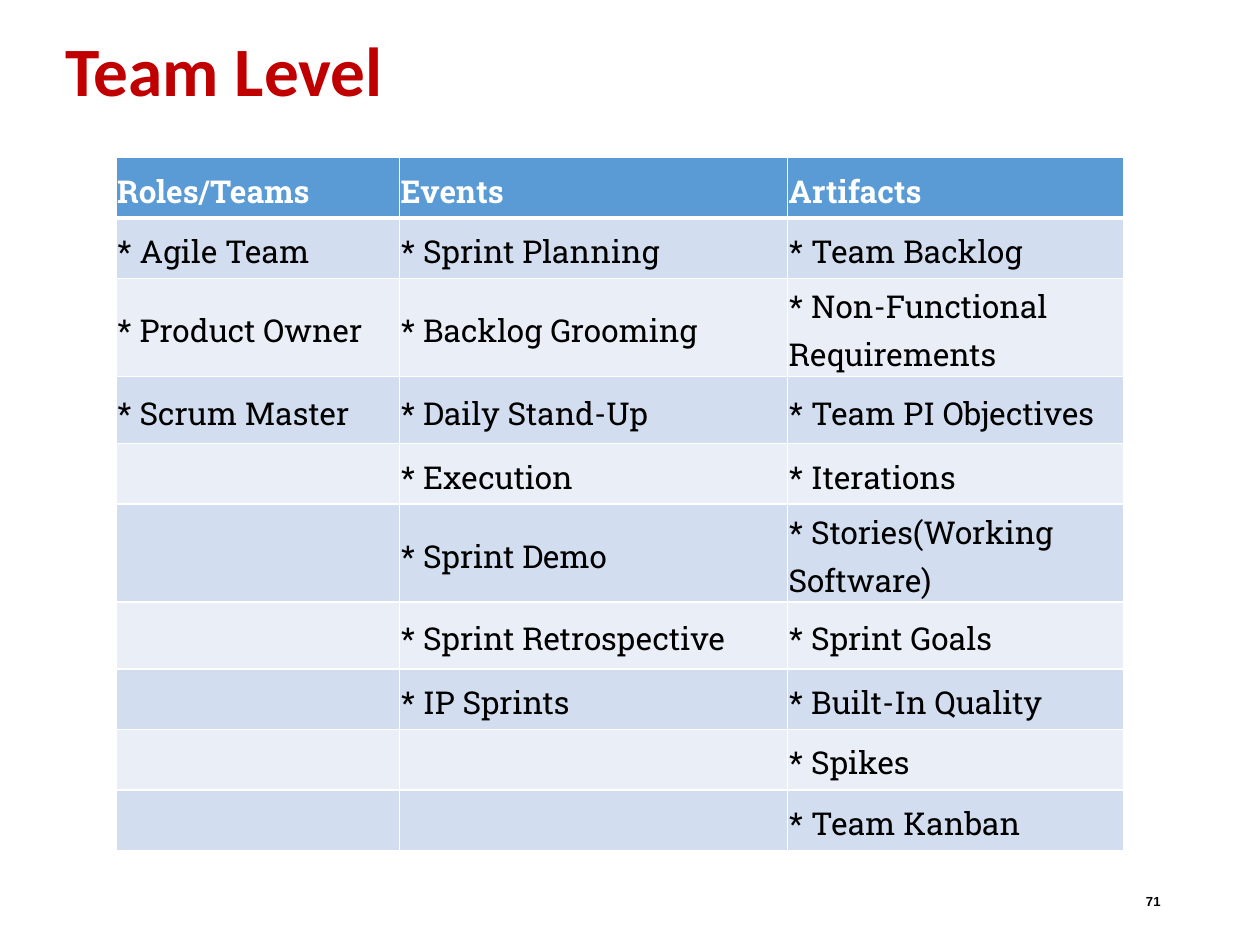
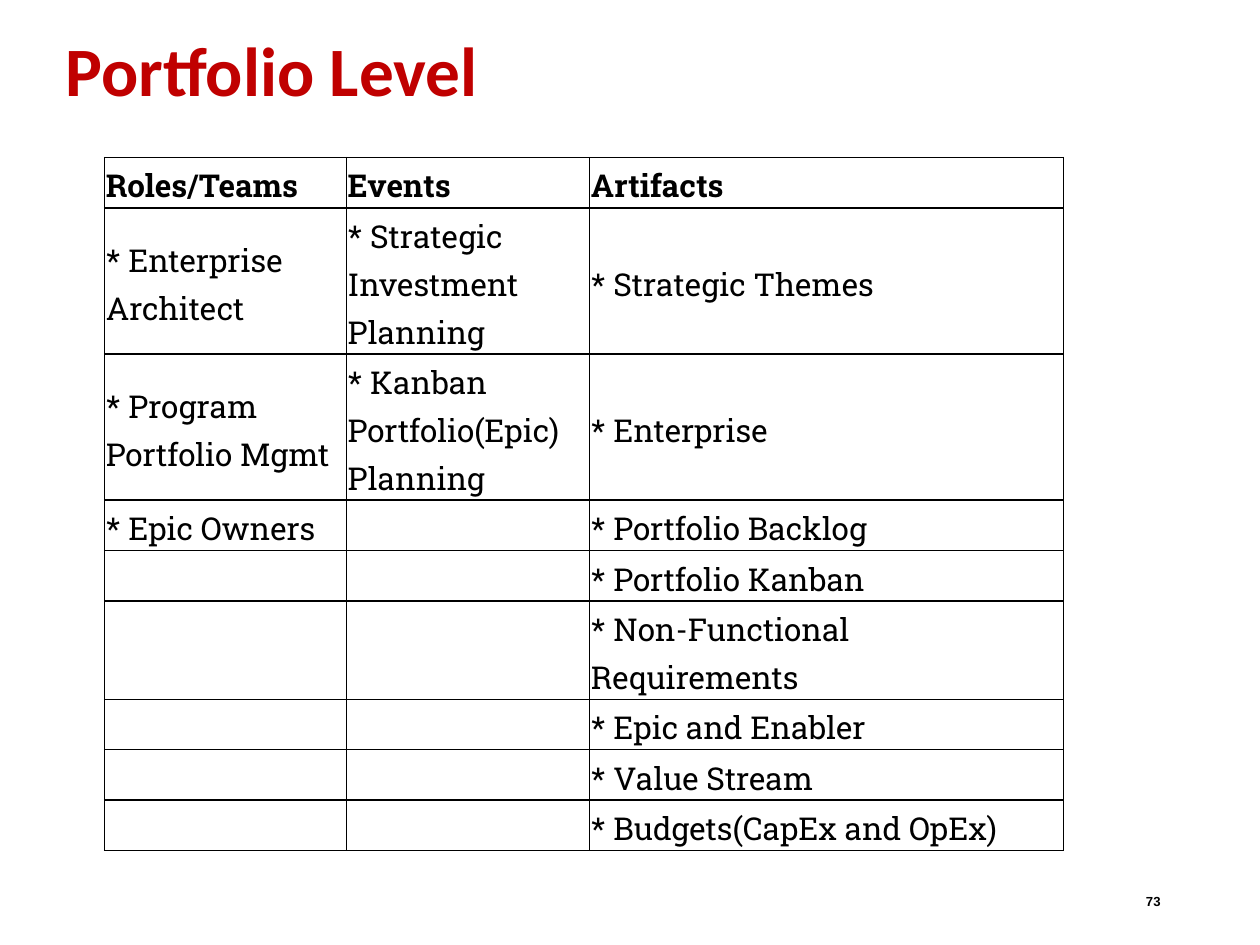
import itertools

import pptx
import pptx.dml.color
import pptx.enum.text
import pptx.oxml
import pptx.oxml.ns
import pptx.util

Inches = pptx.util.Inches
Pt = pptx.util.Pt
RGBColor = pptx.dml.color.RGBColor
ALIGN = pptx.enum.text.PP_ALIGN
MIDDLE = pptx.enum.text.MSO_ANCHOR.MIDDLE

RED = RGBColor(0xC0, 0x00, 0x00)
BLACK = RGBColor(0x00, 0x00, 0x00)
WHITE = RGBColor(0xFF, 0xFF, 0xFF)
BLUE = RGBColor(0x5B, 0x9B, 0xD5)
BAND_DARK = RGBColor(0xD2, 0xDE, 0xEF)
BAND_LIGHT = RGBColor(0xEA, 0xEF, 0xF7)

HEADINGS = ("Roles/Teams", "Events", "Artifacts")
LEVELS = [
    {
        "title": "Team Level",
        "page": "71",
        "left": 0.92,
        "widths": (2.25, 3.08, 2.67),
        "heights": (0.48, 0.48, 0.78, 0.53, 0.48, 0.78, 0.53, 0.48, 0.48, 0.48),
        "header_fill": BLUE,
        "header_color": WHITE,
        "bands": (BAND_DARK, BAND_LIGHT),
        "border": WHITE,
        "header_rule": 3,
        "columns": (
            ("Agile Team", "Product Owner", "Scrum Master"),
            ("Sprint Planning", "Backlog Grooming", "Daily Stand-Up", "Execution",
             "Sprint Demo", "Sprint Retrospective", "IP Sprints"),
            ("Team Backlog", "Non-Functional Requirements", "Team PI Objectives",
             "Iterations", "Stories(Working Software)", "Sprint Goals",
             "Built-In Quality", "Spikes", "Team Kanban"),
        ),
    },
    {
        "title": "Portfolio Level",
        "page": "73",
        "left": 0.83,
        "widths": (1.92, 1.93, 3.76),
        "heights": (0.4, 1.16, 1.16, 0.4, 0.4, 0.78, 0.4, 0.4, 0.4),
        "header_fill": None,
        "header_color": BLACK,
        "bands": (None,),
        "border": BLACK,
        "header_rule": 1,
        "columns": (
            ("Enterprise Architect", "Program Portfolio Mgmt", "Epic Owners"),
            ("Strategic Investment Planning", "Kanban Portfolio(Epic) Planning"),
            ("Strategic Themes", "Enterprise", "Portfolio Backlog",
             "Portfolio Kanban", "Non-Functional Requirements",
             "Epic and Enabler", "Value Stream", "Budgets(CapEx and OpEx)"),
        ),
    },
]

TITLE_FONT = {"name": "Calibri", "size": Pt(39.6), "bold": True}
PAGE_FONT = {"name": "Arial", "size": Pt(7.5), "bold": True}
TABLE_FONT = {"name": "Roboto Slab", "size": Pt(18)}
CELL_FORMAT = {
    "margin_left": Inches(0.01), "margin_right": Inches(0.01),
    "margin_top": Inches(0.01), "margin_bottom": Inches(0.01),
    "vertical_anchor": MIDDLE,
}
TITLE_BOX = (0.42, 0.33, 9.08, 0.52)
PAGE_BOX = (8.73, 6.95, 0.58, 0.4)
TABLE_TOP = 1.25


def apply(target, values):
    for name, value in values.items():
        setattr(target, name, value)


def write(frame, text, font, color, align=ALIGN.LEFT, spacing=1.0):
    paragraph = frame.paragraphs[0]
    paragraph.alignment = align
    paragraph.line_spacing = spacing
    run = paragraph.add_run()
    run.text = text
    apply(run.font, font)
    run.font.color.rgb = color


def set_borders(cell, color, widths):
    """Draw the left, right, top and bottom edges with widths in points."""
    properties = cell._tc.get_or_add_tcPr()
    for side, width in zip("LRTB", widths):
        properties.append(pptx.oxml.parse_xml(
            f'<a:ln{side} {pptx.oxml.ns.nsdecls("a")} w="{Pt(width)}"><a:solidFill>'
            f'<a:srgbClr val="{color}"/></a:solidFill></a:ln{side}>'))


def set_fill(cell, color):
    if color is None:
        cell.fill.background()
    else:
        cell.fill.solid()
        cell.fill.fore_color.rgb = color


def add_heading(slide, text):
    title = slide.shapes.title
    apply(title, dict(zip(("left", "top", "width", "height"), map(Inches, TITLE_BOX))))
    frame = title.text_frame
    frame.auto_size = pptx.enum.text.MSO_AUTO_SIZE.NONE
    frame.vertical_anchor = MIDDLE
    write(frame, text, TITLE_FONT, RED, spacing=0.9)


def add_page_number(slide, number):
    frame = slide.shapes.add_textbox(*map(Inches, PAGE_BOX)).text_frame
    frame.word_wrap = True
    frame.vertical_anchor = MIDDLE
    write(frame, number, PAGE_FONT, BLACK, ALIGN.RIGHT)


def add_level_table(slide, level):
    widths, heights = level["widths"], level["heights"]
    table = slide.shapes.add_table(
        len(heights), len(widths), Inches(level["left"]), Inches(TABLE_TOP),
        Inches(sum(widths)), Inches(sum(heights))).table
    table.horz_banding = False
    for column, width in zip(table.columns, widths):
        column.width = Inches(width)
    for row, height in zip(table.rows, heights):
        row.height = Inches(height)

    items = itertools.zip_longest(*level["columns"])
    starred = [[f"* {item}" if item else "" for item in row] for row in items]
    for r, texts in enumerate([HEADINGS, *starred]):
        header = r == 0
        fill = level["header_fill"] if header else level["bands"][(r - 1) % len(level["bands"])]
        color = level["header_color"] if header else BLACK
        top = level["header_rule"] if r == 1 else 1
        bottom = level["header_rule"] if header else 1
        for c, text in enumerate(texts):
            cell = table.cell(r, c)
            apply(cell, CELL_FORMAT)
            set_borders(cell, level["border"], (1, 1, top, bottom))
            set_fill(cell, fill)
            if text:
                write(cell.text_frame, text, {**TABLE_FONT, "bold": header}, color, spacing=1.15)


def main():
    deck = pptx.Presentation()
    deck.slide_width, deck.slide_height = Inches(10), Inches(7.5)
    title_only = deck.slide_layouts[5]
    for level in LEVELS:
        slide = deck.slides.add_slide(title_only)
        add_heading(slide, level["title"])
        add_page_number(slide, level["page"])
        add_level_table(slide, level)
    deck.save("out.pptx")


if __name__ == "__main__":
    main()
